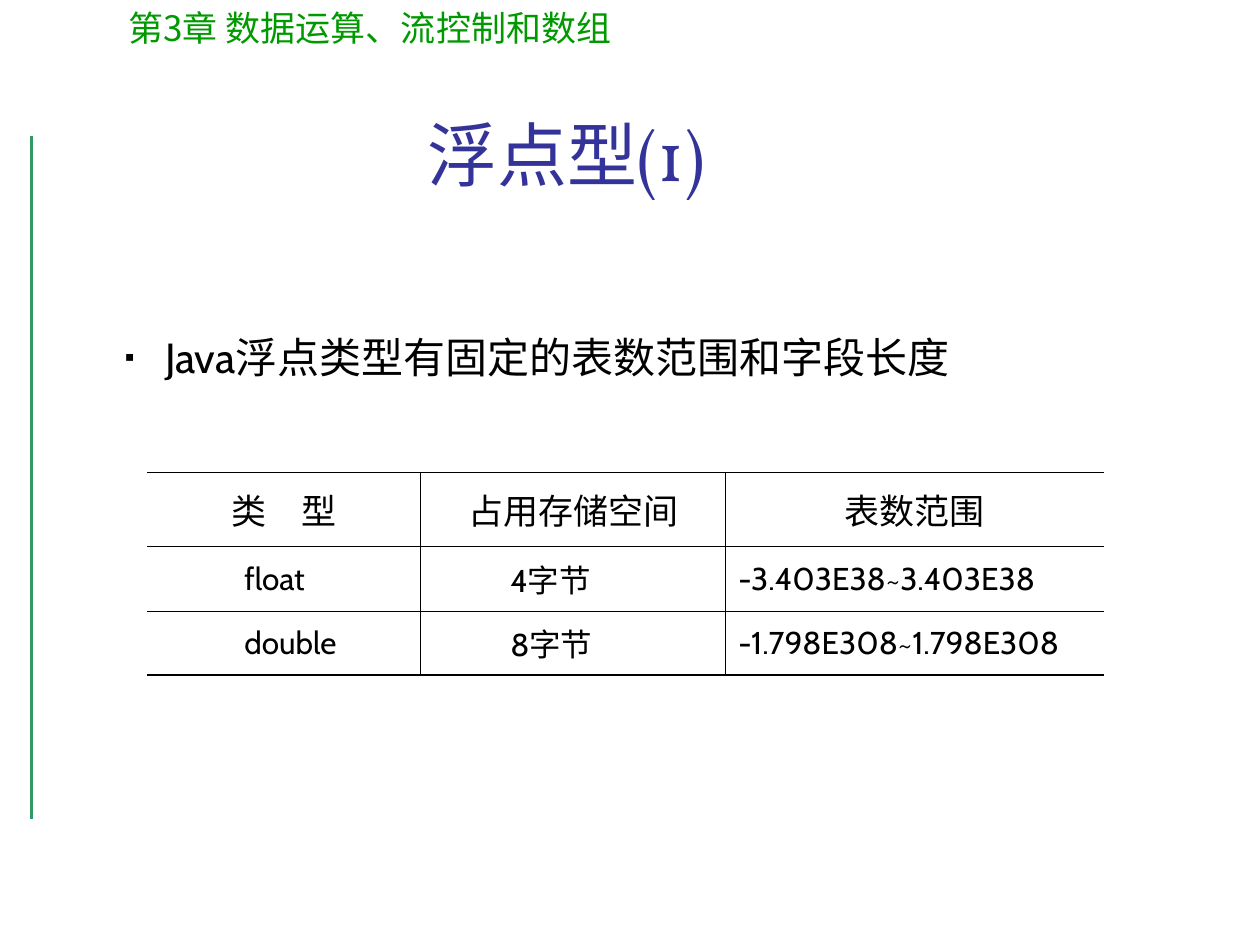
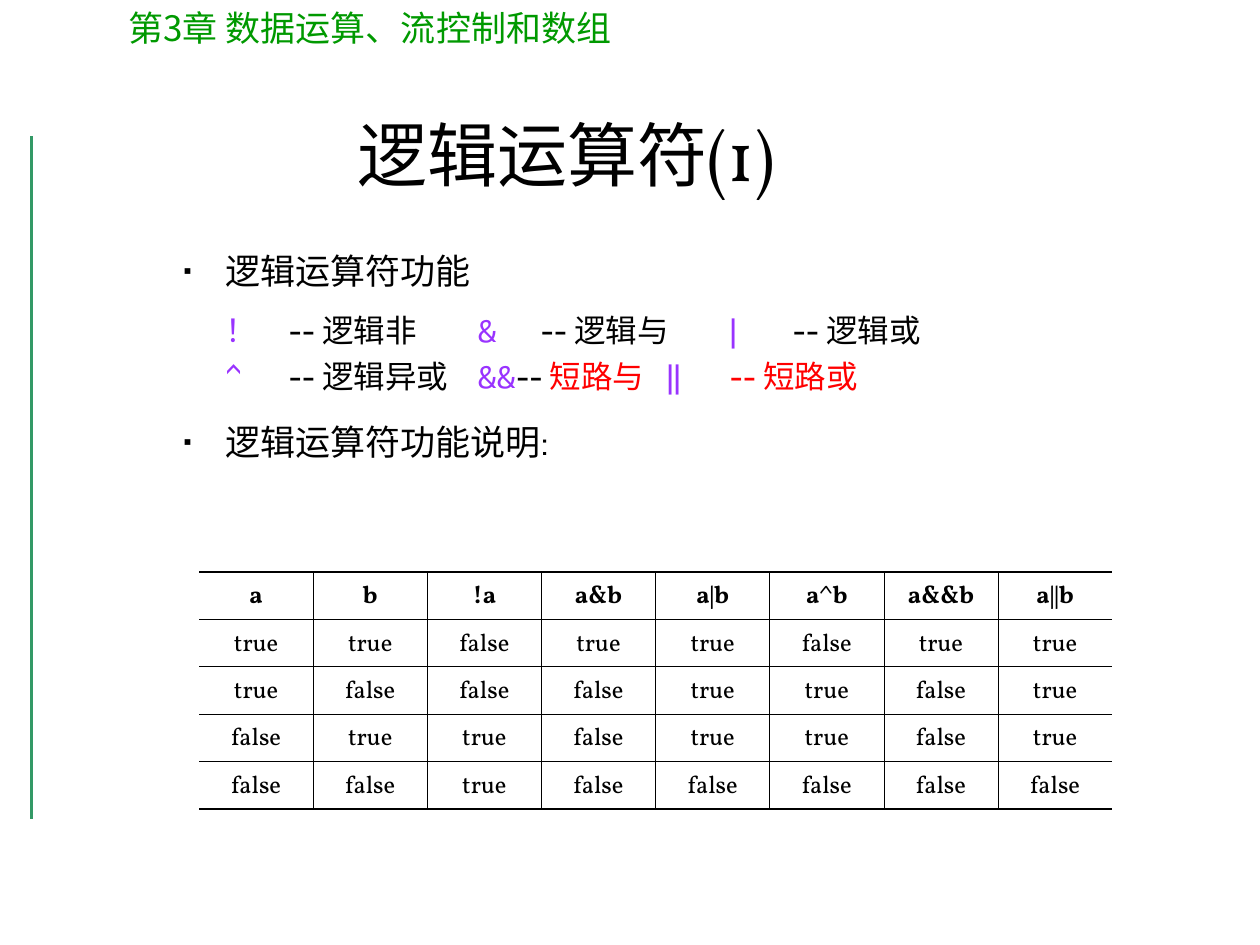
from lxml import etree
from pptx import Presentation
from pptx.dml.color import RGBColor
from pptx.enum.shapes import MSO_CONNECTOR
from pptx.enum.text import MSO_ANCHOR, MSO_AUTO_SIZE, PP_ALIGN
from pptx.oxml.ns import qn
from pptx.util import Inches, Pt

CENTER, JUSTIFY, LEFT = PP_ALIGN.CENTER, PP_ALIGN.JUSTIFY, PP_ALIGN.LEFT
TOP, MIDDLE, BOTTOM = MSO_ANCHOR.TOP, MSO_ANCHOR.MIDDLE, MSO_ANCHOR.BOTTOM
NO_FIT = MSO_AUTO_SIZE.NONE
STRAIGHT = MSO_CONNECTOR.STRAIGHT

BLACK, BLUE, GREEN, RAIL = "000000", "333399", "009900", "339966"
PURPLE, RED = "9933FF", "FF0000"
CABIN, VOLLKORN, NOTO = "Cabin", "Vollkorn", "Noto Sans CJK SC"
NO_STYLE = "{2D5ABB26-0587-4C30-8999-92F81FD0307C}"
THIN, THICK = 0.45, 1.08
HANGING = 0.38


def rgb(value):
    return RGBColor.from_string(value)


def child(parent, tag, **attributes):
    return etree.SubElement(parent, qn(tag), {k: str(v) for k, v in attributes.items()})


def assign(target, values):
    for key, value in values.items():
        setattr(target, key, value)


class Deck:
    def __init__(self):
        self.presentation = Presentation()
        self.presentation.slide_width = Inches(10)
        self.presentation.slide_height = Inches(7.5)
        self.layout = self.presentation.slide_layouts[1]
        self.slide = None

    def add_slide(self, chapter):
        self.slide = self.presentation.slides.add_slide(self.layout)
        rail = self.slide.shapes.add_connector(
            STRAIGHT, Inches(0.25), Inches(1.08), Inches(0.25), Inches(6.5))
        rail.line.color.rgb = rgb(RAIL)
        rail.line.width = Pt(2.25)
        child(rail._element.spPr, "a:effectLst")
        header = self.slide.shapes.add_textbox(
            Inches(0.92), 0, Inches(8.26), Inches(0.94))
        frame = self.frame(header, TOP)
        self.runs(frame.paragraphs[0], [(chapter, {})], 20, NOTO, GREEN)

    def frame(self, shape, anchor):
        assign(shape.text_frame, {
            "word_wrap": True, "auto_size": NO_FIT, "vertical_anchor": anchor})
        return shape.text_frame

    def runs(self, paragraph, pieces, size, font=CABIN, color=BLACK, bold=False):
        for text, changes in pieces:
            run = paragraph.add_run()
            run.text = text
            look = {"font": font, "color": color, **changes}
            assign(run.font, {"size": Pt(size), "name": look["font"], "bold": bold})
            run.font.color.rgb = rgb(look["color"])
            child(run._r.get_or_add_rPr(), "a:ea", typeface=NOTO)

    def place(self, shape, left, top, width, height):
        assign(shape, {"left": Inches(left), "top": Inches(top),
                       "width": Inches(width), "height": Inches(height)})

    def title(self, text, color):
        title = self.slide.shapes.title
        self.place(title, 0.58, 0.67, 7.83, 0.93)
        paragraph = self.frame(title, BOTTOM).paragraphs[0]
        paragraph.alignment = CENTER
        self.runs(paragraph, [(text, {})], 40, VOLLKORN, color)

    def body(self, box, items):
        body = self.slide.placeholders[1]
        self.place(body, *box)
        frame = self.frame(body, TOP)
        for index, item in enumerate(items):
            paragraph = frame.paragraphs[0] if index == 0 else frame.add_paragraph()
            assign(paragraph, {"alignment": LEFT,
                               "space_before": Pt(item.get("before", 0))})
            properties = paragraph._p.get_or_add_pPr()
            properties.set("marL", str(Inches(HANGING)))
            properties.set("indent", str(-Inches(HANGING)))
            if "tabs" in item:
                child(properties, "a:buNone")
                stops = child(properties, "a:tabLst")
                for stop in item["tabs"]:
                    child(stops, "a:tab", pos=Inches(stop), algn="l")
            else:
                child(child(properties, "a:buClr"), "a:srgbClr", val=BLACK)
                child(properties, "a:buSzPct", val=60000)
                child(properties, "a:buFont", typeface=NOTO)
                child(properties, "a:buChar", char="▪")
            self.runs(paragraph, item["pieces"], item["size"])

    def borders(self, cell, widths):
        properties = cell._tc.get_or_add_tcPr()
        for side, width in zip("LRTB", widths):
            line = child(properties, f"a:ln{side}", w=Pt(width))
            if width:
                child(child(line, "a:solidFill"), "a:srgbClr", val=BLACK)
            else:
                child(line, "a:noFill")

    def table(self, left, top, columns, heights, rows, style):
        last_row, last_column = len(heights) - 1, len(columns) - 1
        grid = self.slide.shapes.add_table(
            len(heights), len(columns), Inches(left), Inches(top),
            Inches(sum(columns)), Inches(sum(heights))).table
        assign(grid, {"first_row": False, "horz_banding": False})
        grid._tbl.tblPr.find(qn("a:tableStyleId")).text = NO_STYLE
        for column, width in zip(grid.columns, columns):
            column.width = Inches(width)
        for r, (height, values) in enumerate(zip(heights, rows)):
            grid.rows[r].height = Inches(height)
            for c, value in enumerate(values):
                cell = grid.cell(r, c)
                self.borders(cell, (THIN if c else 0,
                                    THIN if c < last_column else 0,
                                    THIN if r else THICK,
                                    THIN if r < last_row else THICK))
                cell.fill.background()
                cell.vertical_anchor = MIDDLE
                paragraph = cell.text_frame.paragraphs[0]
                look, alignment, indent = style(r, c)
                assign(paragraph, {"alignment": alignment,
                                   "line_spacing": look.get("spacing", 1.0)})
                if indent:
                    paragraph._p.get_or_add_pPr().set("marL", str(Inches(indent)))
                self.runs(paragraph, [(value, {})], look["size"], look["font"],
                          bold=look.get("bold", False))


def float_style(row, column):
    if row == 0:
        return {"size": 20, "font": CABIN}, CENTER, 0
    alignment, indent = [(LEFT, 0.67), (LEFT, 0.61), (JUSTIFY, 0)][column]
    return {"size": 18, "font": CABIN}, alignment, indent


def truth_style(row, column):
    look = {"size": 14, "font": VOLLKORN, "bold": row == 0, "spacing": 0.9}
    return look, CENTER, 0


def truth_rows():
    rows = [["a", "b", "!a", "a&b", "a|b", "a^b", "a&&b", "a||b"]]
    for a in (True, False):
        for b in (True, False):
            results = [a, b, not a, a and b, a or b, a != b, a and b, a or b]
            rows.append([str(result).lower() for result in results])
    return rows


def main():
    deck = Deck()
    chapter = "第3章 数据运算、流控制和数组"

    deck.add_slide(chapter)
    deck.title("浮点型(1)", BLUE)
    deck.body((0.83, 2.58, 8.5, 0.92), [
        {"size": 24, "pieces": [("Java浮点类型", {}),
                                ("有固定的表数范围和字段长度", {"font": NOTO})]},
    ])
    deck.table(1.17, 3.75, [2.17, 2.42, 3], [0.59, 0.51, 0.51], [
        ["类　型", "占用存储空间", "表数范围"],
        ["float", "4字节", "-3.403E38~3.403E38"],
        ["double", "8字节", "-1.798E308~1.798E308"],
    ], float_style)

    deck.add_slide(chapter)
    deck.title("逻辑运算符(1)", BLACK)
    operator, short_circuit = {"color": PURPLE}, {"color": RED}
    deck.body((1.31, 1.93, 7.8, 2.48), [
        {"size": 20, "pieces": [("逻辑运算符功能", {})]},
        {"size": 18, "before": 11.2, "tabs": [0, 0.32, 3, 3.33, 5.4, 5.57],
         "pieces": [("\t！", operator), ("\t-- 逻辑非\t", {}),
                    ("&", operator), ("\t-- 逻辑与\t", {}),
                    ("|", operator), ("\t-- 逻辑或", {})]},
        {"size": 18, "before": 4.5, "tabs": [0, 0.25, 2, 4.17, 4.34],
         "pieces": [("\t^", operator), ("\t-- 逻辑异或\t", {}),
                    ("&&", operator), ("-- ", {}), ("短路与\t", short_circuit),
                    ("||", operator), ("\t-- 短路或", short_circuit)]},
        {"size": 20, "before": 15, "pieces": [("逻辑运算符功能说明:", {})]},
    ])
    truths = truth_rows()
    deck.table(1.58, 4.54, [7.25 / 8] * 8, [1.88 / 5] * 5, truths, truth_style)

    deck.presentation.save("out.pptx")


if __name__ == "__main__":
    main()
